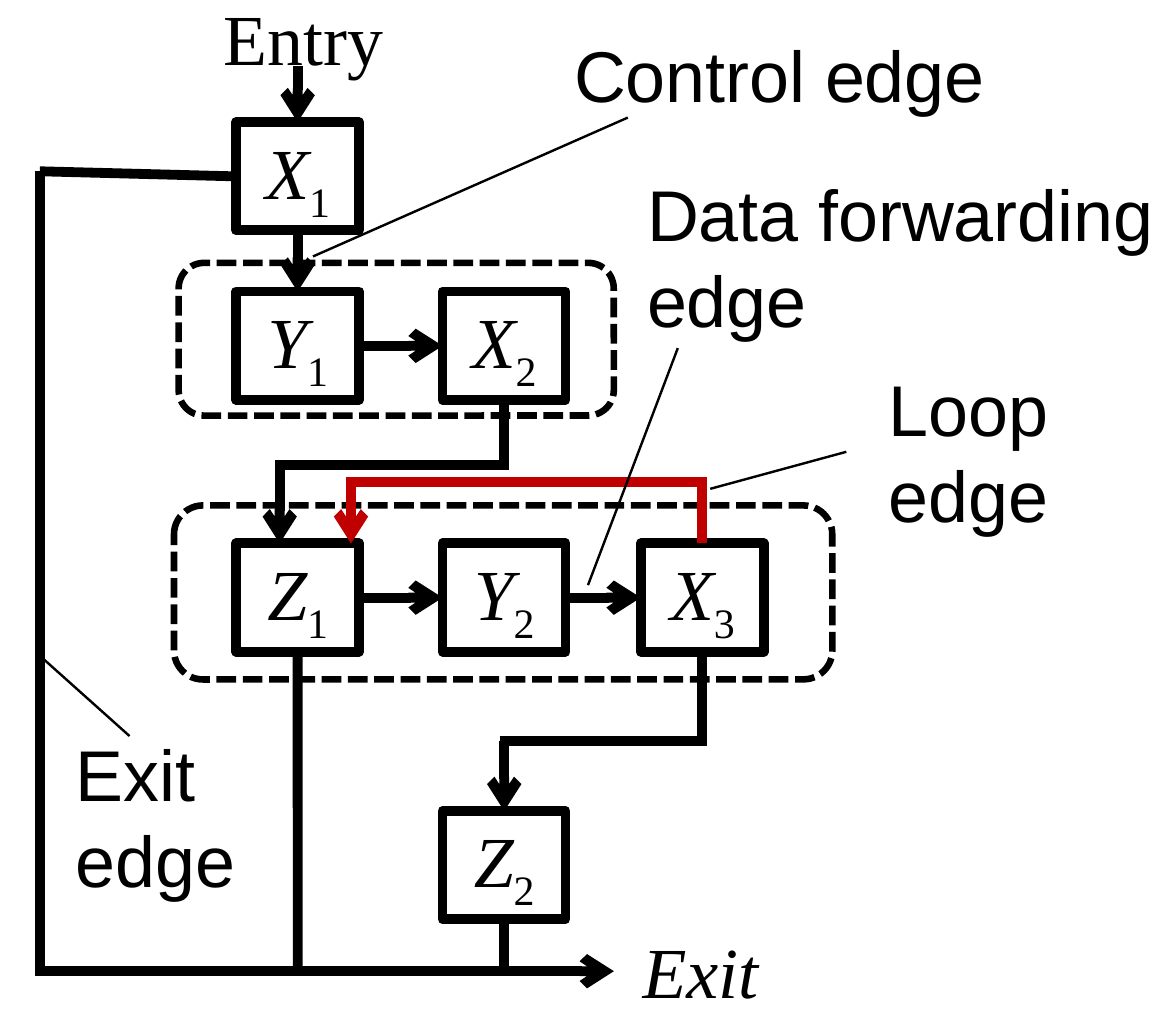
from dataclasses import dataclass

from lxml import etree
from pptx import Presentation
from pptx.dml.color import RGBColor
from pptx.enum.dml import MSO_LINE
from pptx.enum.shapes import MSO_CONNECTOR, MSO_SHAPE
from pptx.enum.text import MSO_ANCHOR, MSO_AUTO_SIZE, PP_ALIGN
from pptx.oxml.ns import qn
from pptx.util import Cm, Pt

RECT, ROUND = MSO_SHAPE.RECTANGLE, MSO_SHAPE.ROUNDED_RECTANGLE
STRAIGHT = MSO_CONNECTOR.STRAIGHT
DASH = MSO_LINE.SQUARE_DOT
MIDDLE, CENTER = MSO_ANCHOR.MIDDLE, PP_ALIGN.CENTER
GROW = MSO_AUTO_SIZE.SHAPE_TO_FIT_TEXT
TOP, LEFT, BOTTOM, RIGHT = range(4)


@dataclass
class Theme:
    ink: RGBColor = RGBColor(0, 0, 0)
    loop: RGBColor = RGBColor(0xC0, 0, 0)
    serif: str = "Times New Roman"
    sans: str = "Arial"
    size: Pt = Pt(22)
    bold: Pt = Pt(3)
    mid: Pt = Pt(2)
    thin: Pt = Pt(0.75)


def put(item, form):
    for key, value in form.items():
        setattr(item, key, value)


class Graph:
    def __init__(self, slide, theme):
        self.shapes = slide.shapes
        self.theme = theme

    def word(self, para, text, face, slant=False):
        run = para.add_run()
        run.text = text
        put(run.font, {"name": face, "size": self.theme.size, "italic": slant})
        run.font.color.rgb = self.theme.ink
        return run

    def pad(self, frame, form):
        inset = {"margin_left": Cm(0.13), "margin_right": Cm(0.13),
                 "margin_top": Cm(0.08), "margin_bottom": Cm(0.08)}
        put(frame, {"word_wrap": True, **inset, **form})

    def frame(self, kind, area, width):
        shape = self.shapes.add_shape(kind, *map(Cm, area))
        shape.shadow.inherit = False
        shape.fill.background()
        shape.line.color.rgb = self.theme.ink
        shape.line.width = width
        return shape

    def node(self, name, left, top):
        shape = self.frame(RECT, (left, top, 1.33, 1.17), self.theme.bold)
        self.pad(shape.text_frame, {"vertical_anchor": MIDDLE})
        para = shape.text_frame.paragraphs[0]
        para.alignment = CENTER
        self.word(para, name[0], self.theme.serif, True)
        sub = self.word(para, name[1], self.theme.serif)
        sub._r.get_or_add_rPr().set("baseline", "-25000")
        return shape

    def group(self, *area):
        shape = self.frame(ROUND, area, self.theme.mid)
        shape.line.dash_style = DASH

    def label(self, text, area, face, slant=False):
        frame = self.shapes.add_textbox(*map(Cm, area)).text_frame
        self.pad(frame, {"auto_size": GROW})
        for i, part in enumerate(text.split("\n")):
            para = frame.add_paragraph() if i else frame.paragraphs[0]
            self.word(para, part, face, slant)

    def edge(self, start, end, color=None, width=None, arrow=False):
        joins = [hasattr(spot[0], "shape_id") for spot in (start, end)]
        first, last = [(0, 0) if joint else spot
                       for spot, joint in zip((start, end), joins)]
        line = self.shapes.add_connector(STRAIGHT, *map(Cm, (*first, *last)))
        if joins[0]:
            line.begin_connect(*start)
        if joins[1]:
            line.end_connect(*end)
        line.line.color.rgb = color or self.theme.ink
        line.line.width = width or self.theme.bold
        if arrow:
            tip = etree.SubElement(line.line._get_or_add_ln(), qn("a:tailEnd"))
            tip.set("type", "arrow")
        etree.SubElement(line._element.spPr, qn("a:effectLst"))


def main():
    deck = Presentation()
    deck.slide_width, deck.slide_height = Cm(12.7), Cm(10.92)
    theme = Theme()
    graph = Graph(deck.slides.add_slide(deck.slide_layouts[6]), theme)

    cols, rows = (2.55, 4.78, 6.92), (1.32, 3.15, 5.87, 8.76)
    mids = [col + 1.33 / 2 for col in cols]
    cells = {"X3": (2, 2), "X2": (1, 1), "Y2": (1, 2), "Z2": (1, 3),
             "X1": (0, 0), "Y1": (0, 1), "Z1": (0, 2)}
    node = {name: graph.node(name, cols[col], rows[row])
            for name, (col, row) in cells.items()}

    graph.group(1.93, 2.84, 4.7, 1.65)
    graph.group(1.88, 5.46, 7.11, 1.88)

    wall, floor, upper, lower, back = 0.43, 10.49, 5.02, 8, 5.21
    in_x, back_x, lap = 3.02, 3.79, 0.05
    for start, end in (
        ((mids[0], 0.71), (node["X1"], TOP)),
        ((node["X1"], BOTTOM), (node["Y1"], TOP)),
        ((node["Y1"], RIGHT), (node["X2"], LEFT)),
        ((node["Z1"], RIGHT), (node["Y2"], LEFT)),
        ((node["Y2"], RIGHT), (node["X3"], LEFT)),
        ((in_x, upper), (in_x, rows[2])),
        ((mids[1], lower), (node["Z2"], TOP)),
        ((wall - lap, floor), (6.63, floor)),
    ):
        graph.edge(start, end, arrow=True)

    for start, end in (
        ((wall, 1.85), (node["X1"], LEFT)),
        ((wall, 1.85), (wall, floor)),
        ((node["Z1"], BOTTOM), (mids[0], floor)),
        ((node["Z2"], BOTTOM), (mids[1], floor)),
        ((in_x - lap, upper), (mids[1] + lap, upper)),
        ((node["X2"], BOTTOM), (mids[1], upper)),
        ((mids[1] - lap, lower), (mids[2] + lap, lower)),
        ((node["X3"], BOTTOM), (mids[2], lower)),
    ):
        graph.edge(start, end)

    graph.edge((back_x, back), (back_x, rows[2]), theme.loop, arrow=True)
    graph.edge((back_x - lap, back), (mids[2] + lap, back), theme.loop)
    graph.edge((mids[2], back), (node["X3"], TOP), theme.loop)

    graph.label("Entry", (2.29, -0.15, 2.97, 1.07), theme.serif)
    graph.label("Exit", (6.81, 9.93, 2.08, 1.07), theme.serif, True)
    for text, area in (
        ("Control edge", (6.07, 0.25, 5.74, 1.07)),
        ("Data forwarding\nedge", (6.86, 1.75, 6.32, 2.01)),
        ("Loop edge", (9.47, 3.86, 2.24, 2.01)),
        ("Exit\nedge", (0.69, 7.8, 2.06, 2.01)),
    ):
        graph.label(text, area, theme.sans)

    for start, end in (
        ((3.38, 2.77), (6.78, 1.27)),
        ((0.46, 7.11), (1.4, 7.95)),
        ((6.35, 6.32), (7.32, 3.76)),
        ((7.67, 5.28), (9.14, 4.88)),
    ):
        graph.edge(start, end, width=theme.thin)

    deck.save("out.pptx")


if __name__ == "__main__":
    main()
